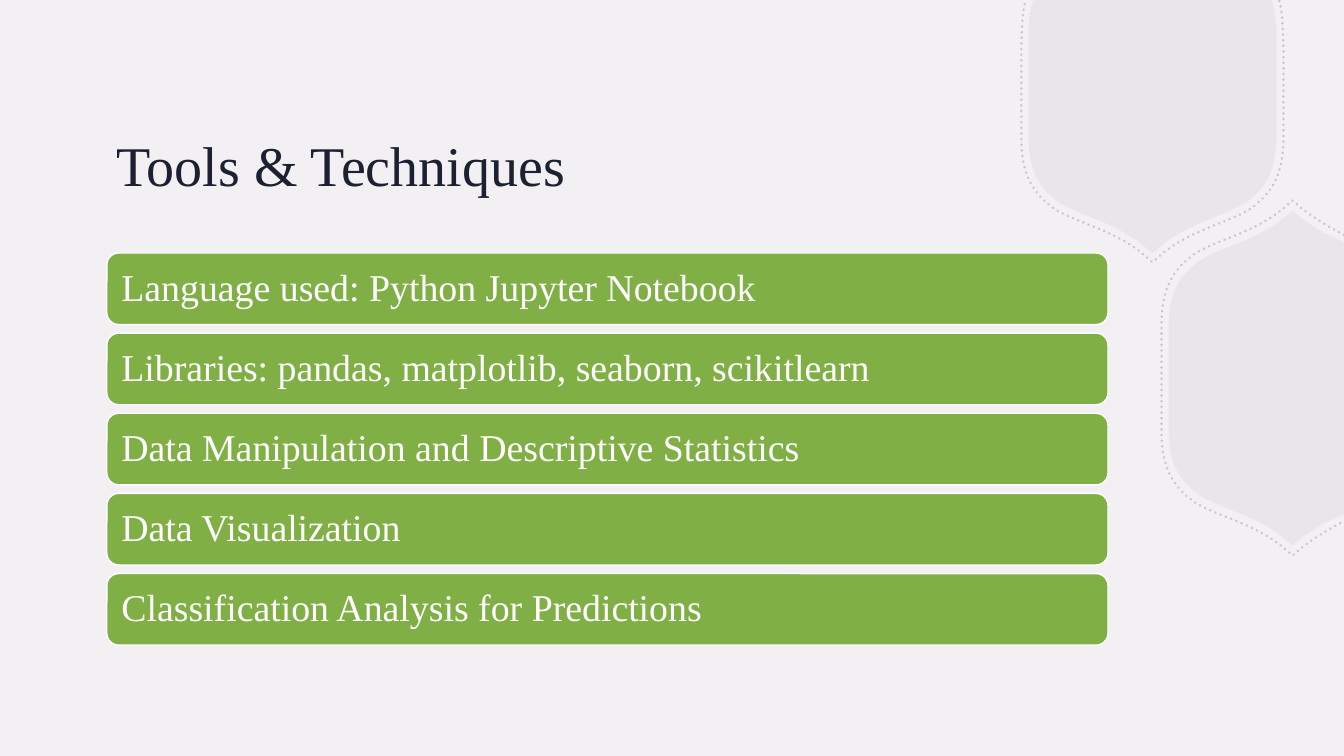
from lxml import etree
from pptx import Presentation
from pptx.dml.color import RGBColor
from pptx.enum.dml import MSO_LINE
from pptx.enum.shapes import MSO_SHAPE
from pptx.enum.text import MSO_ANCHOR, PP_ALIGN
from pptx.oxml.ns import qn
from pptx.util import Inches, Pt

ROUND_DOT = MSO_LINE.ROUND_DOT
ROUNDED = MSO_SHAPE.ROUNDED_RECTANGLE
MIDDLE = MSO_ANCHOR.MIDDLE
LEFT = PP_ALIGN.LEFT

BACKGROUND = RGBColor(0xF2, 0xF0, 0xF3)
MAUVE = RGBColor(0xB8, 0xAD, 0xBD)
NAVY = RGBColor(0x1B, 0x21, 0x30)
GREEN = RGBColor(0x80, 0xAF, 0x45)
WHITE = RGBColor(0xFF, 0xFF, 0xFF)
FONT = "Times New Roman"

# Half outlines: segment kinds (L line, C curve), then start and segment points.
TOP_FILL = ("LCLCCL", [
    (12.61, 0), (12.62, 0.03), (12.65, 0.12), (12.66, 0.23), (12.66, 0.36),
    (12.66, 1.33), (12.66, 1.69), (12.56, 1.87), (12.34, 2.02),
    (12.11, 2.15), (11.81, 2.21), (11.54, 2.42), (11.43, 2.51)])
TOP_DOTS = ("CLCCL", [
    (12.69, 0.01), (12.73, 0.19), (12.72, 0.3), (12.73, 0.44),
    (12.73, 1.36), (12.73, 1.73), (12.62, 1.92), (12.39, 2.08),
    (12.15, 2.22), (11.83, 2.28), (11.55, 2.5), (11.43, 2.6)])
SIDE_FILL = ("LCLLCCL", [
    (13.33, 2.4), (13.13, 2.31), (13.07, 2.27), (13, 2.23), (12.93, 2.18),
    (12.82, 2.09), (12.71, 2.18), (12.44, 2.39), (12.14, 2.44), (11.91, 2.58),
    (11.69, 2.73), (11.59, 2.91), (11.59, 3.26), (11.59, 3.75)])
SIDE_DOTS = ("CLLCCL", [
    (13.33, 2.33), (13.19, 2.26), (13.02, 2.15), (12.94, 2.09),
    (12.82, 1.99), (12.7, 2.09), (12.42, 2.31), (12.1, 2.37), (11.86, 2.51),
    (11.63, 2.67), (11.52, 2.86), (11.52, 3.23), (11.52, 3.75)])


def add_hexagon(shapes, half, mirror, filled):
    """Draw a half outline and its mirror image as one freeform with curves."""
    kinds, points = half
    points = points + [mirror(x, y) for x, y in points[-2::-1]]
    emu = [(Inches(x), Inches(y)) for x, y in points]
    builder = shapes.build_freeform(*emu[0])
    builder.add_line_segments(emu[1:], close=filled)
    sp = builder.convert_to_shape()
    sp.shadow.inherit = False
    spPr = sp._element.spPr
    lines = iter(list(spPr.iter(qn("a:lnTo"))))
    for kind in kinds + kinds[::-1]:
        segment = next(lines)
        if kind == "C":
            segment.addprevious(curve := etree.Element(qn("a:cubicBezTo")))
            for part in (segment, next(lines), next(lines)):
                curve.append(part[0])
                part.getparent().remove(part)
    if filled:
        sp.fill.solid()
        sp.fill.fore_color.rgb = MAUVE
        sp.line.fill.background()
    else:
        sp.fill.background()
        sp.line.color.rgb = MAUVE
        sp.line.width = Pt(2)
        sp.line.dash_style = ROUND_DOT
        spPr.find(qn("a:ln")).set("cap", "rnd")
    alpha = etree.SubElement(next(spPr.iter(qn("a:srgbClr"))), qn("a:alpha"))
    alpha.set("val", "15000" if filled else "65000")


def set_text(tf, text, size, color):
    tf.word_wrap = True
    tf.vertical_anchor = MIDDLE
    tf.text = text
    p = tf.paragraphs[0]
    p.alignment = LEFT
    p.line_spacing = 0.9
    font = p.runs[0].font
    font.name, font.size, font.color.rgb = FONT, Pt(size), color


prs = Presentation()
prs.slide_width, prs.slide_height = Inches(13.33), Inches(7.5)
s = prs.slides.add_slide(prs.slide_layouts[6])
s.background.fill.solid()
s.background.fill.fore_color.rgb = BACKGROUND

# Hexagons: the top one mirrors left to right, the side one top to bottom
for half, mirror, filled in [
    (TOP_FILL, lambda x, y: (22.86 - x, y), True),
    (SIDE_FILL, lambda x, y: (x, 7.5 - y), True),
    (TOP_DOTS, lambda x, y: (22.86 - x, y), False),
    (SIDE_DOTS, lambda x, y: (x, 7.5 - y), False),
]:
    add_hexagon(s.shapes, half, mirror, filled)

# Title
title = s.shapes.add_textbox(Inches(1.06), Inches(1.05), Inches(9.93), Inches(1.16))
set_text(title.text_frame, "Tools & Techniques", 40, NAVY)
title.text_frame.paragraphs[0].line_spacing = 1.0

# Bars
topics = [
    "Language used: Python Jupyter Notebook",
    "Libraries: pandas, matplotlib, seaborn, scikitlearn",
    "Data Manipulation and Descriptive Statistics",
    "Data Visualization",
    "Classification Analysis for Predictions",
]
PITCH = (5.69 - 2.51) / (len(topics) - 1)
for i, topic in enumerate(topics):
    bar = s.shapes.add_shape(ROUNDED, Inches(1.06), Inches(2.51 + i * PITCH),
                             Inches(9.93), Inches(0.71))
    bar.shadow.inherit = False
    bar.fill.solid()
    bar.fill.fore_color.rgb = GREEN
    bar.line.color.rgb = WHITE
    bar.line.width = Pt(1)
    tf = bar.text_frame
    tf.margin_left = tf.margin_right = Inches(0.11)
    tf.margin_top = tf.margin_bottom = Inches(0.11)
    set_text(tf, topic, 27, WHITE)

prs.save("out.pptx")
